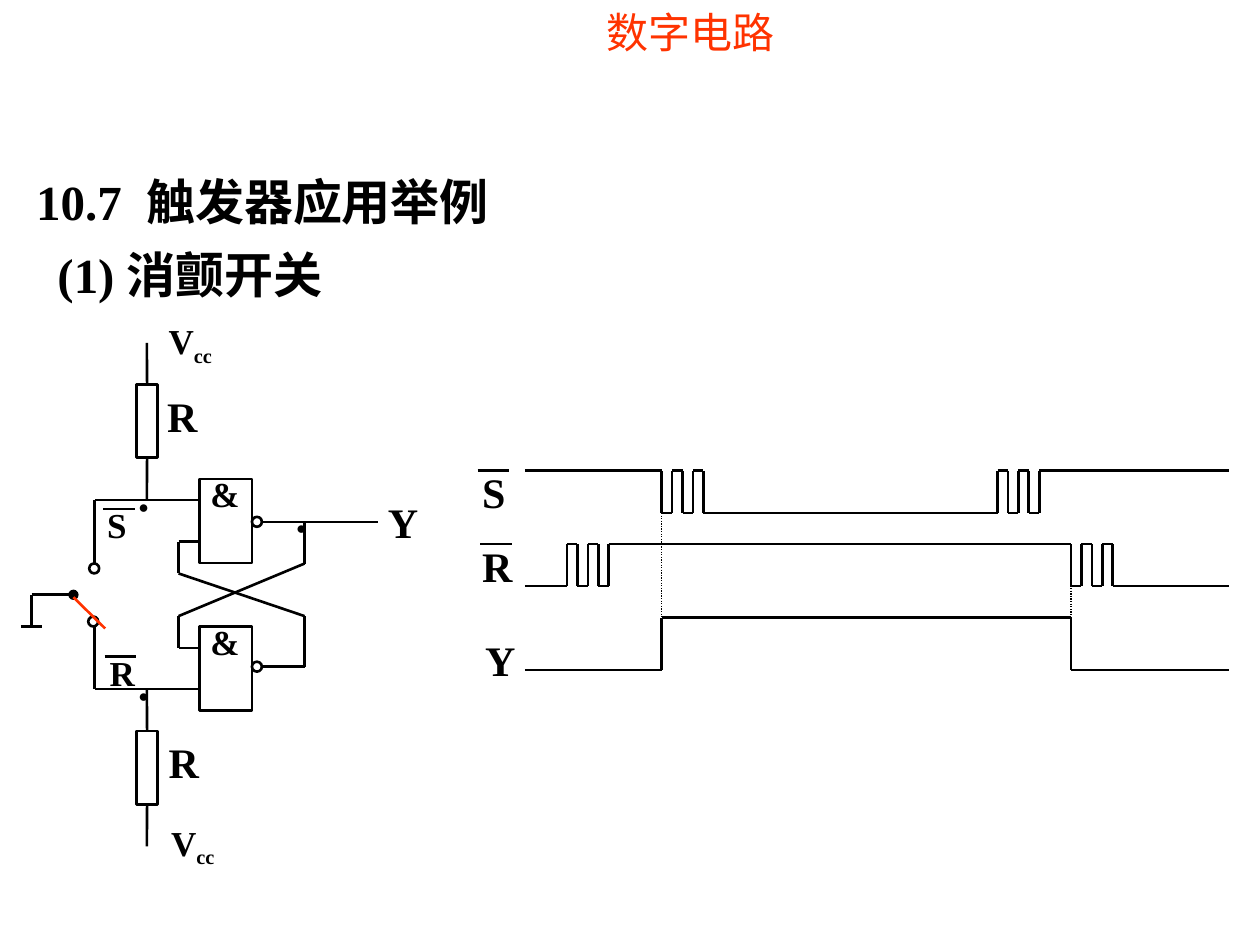
from itertools import pairwise

from lxml import etree
from pptx import Presentation
from pptx.dml.color import RGBColor
from pptx.enum.dml import MSO_LINE
from pptx.enum.shapes import MSO_CONNECTOR, MSO_SHAPE
from pptx.enum.text import PP_ALIGN
from pptx.oxml.ns import qn
from pptx.util import Cm, Pt

BLACK = RGBColor(0x00, 0x00, 0x00)
RED = RGBColor(0xFF, 0x33, 0x00)
STRAIGHT = MSO_CONNECTOR.STRAIGHT
RECTANGLE = MSO_SHAPE.RECTANGLE
OVAL = MSO_SHAPE.OVAL
DOTTED = MSO_LINE.ROUND_DOT
CENTER = PP_ALIGN.CENTER
LATIN = "Times New Roman"
CHINESE = "Noto Sans CJK SC"
TOP, BOTTOM = 0, 2

prs = Presentation()
prs.slide_width, prs.slide_height = Cm(25.4), Cm(19.05)
slide = prs.slides.add_slide(prs.slide_layouts[6])


def add_line(start, end, color=BLACK, width=1.5):
    line = slide.shapes.add_connector(STRAIGHT, *[Cm(v) for v in (*start, *end)])
    line.line.color.rgb = color
    line.line.width = Pt(width)
    etree.SubElement(line._element.spPr, qn("a:effectLst"))
    return line


def add_text(box, runs, font=LATIN, color=BLACK, bold=True, wrap=False):
    """Add a one-line text box; runs are (text, size, baseline in percent)."""
    frame = slide.shapes.add_textbox(*[Cm(v) for v in box]).text_frame
    frame.word_wrap = wrap
    paragraph = frame.paragraphs[0]
    for text, size, baseline in runs:
        run = paragraph.add_run()
        run.text = text
        run.font.size = Pt(size)
        run.font.bold = bold
        run.font.color.rgb = color
        run.font.name = font
        properties = run._r.get_or_add_rPr()
        if any("一" <= letter <= "龥" for letter in text):
            etree.SubElement(properties, qn("a:ea"), typeface=CHINESE)
        if baseline:
            properties.set("baseline", str(baseline * 1000))
    return paragraph


# Headings
title = add_text((10.31, 0, 7.21, 1.52), [("数字电路", 24, 0)], CHINESE, RED, False)
title.alignment = CENTER
add_text((0.48, 3.33, 10, 1.45), [("10.7  触发器应用举例", 28, 0)])
add_text((0.91, 4.8, 6.4, 1.45), [("(1) 消颤开关", 28, 0)])

# Timing diagram: every edge toggles the level, a bounce is five quick edges
WAVE_LEFT, WAVE_RIGHT = 10.58, 24.77
SET_X, RESET_X = 13.34, 21.59
bounce = [0.21 * i for i in range(5)]
waves = [  # first level, other level, edges
    (9.49, 10.34, [x + b for x in (SET_X, 20.11) for b in bounce]),
    (11.81, 10.97, [x + b for x in (11.43, RESET_X) for b in bounce]),
    (13.51, 12.45, [SET_X, RESET_X]),
]
for level, other, edges in waves:
    points = [(WAVE_LEFT, level)]
    for x in edges:
        points += [(x, level), (x, other)]
        level, other = other, level
    points.append((WAVE_RIGHT, level))
    for start, end in pairwise(points):
        add_line(start, end)

for x, top, bottom in [(SET_X, 10.34, 13.51), (RESET_X, 11.18, 12.45)]:
    guide = add_line((x, top), (x, bottom), width=0.75)
    guide.line.dash_style = DOTTED

# Gates with their inverting outputs
outlines = []
for gate_top, bubble_top in [(9.66, 10.42), (12.63, 13.34)]:
    outlines += [(RECTANGLE, 4.02, gate_top, 1.06, 1.69),
                 (OVAL, 5.08, bubble_top, 0.2, 0.2)]
    add_text((3.99, gate_top - 0.25, 1.15, 1.12), [("&", 20, 0)])

# Switch contacts
outlines += [(OVAL, 1.8, 11.36, 0.2, 0.2), (OVAL, 1.78, 12.43, 0.2, 0.2)]

# Resistors
RESISTOR_TOPS = (7.75, 14.74)
outlines += [(RECTANGLE, 2.75, top, 0.43, 1.48) for top in RESISTOR_TOPS]

parts = []
for kind, *box in outlines:
    part = slide.shapes.add_shape(kind, *[Cm(v) for v in box])
    part.shadow.inherit = False
    part.fill.background()
    part.line.color.rgb = BLACK
    part.line.width = Pt(1.5)
    parts.append(part)

LEAD, LEAD_X = 0.84, 2.96
for resistor, top in zip(parts[-2:], RESISTOR_TOPS):
    bottom = top + 1.48
    add_line((LEAD_X, top - LEAD), (LEAD_X, top)).end_connect(resistor, TOP)
    add_line((LEAD_X, bottom), (LEAD_X, bottom + LEAD)).begin_connect(resistor, BOTTOM)

wires = [
    [(5.29, 10.52), (7.62, 10.52)],
    [(6.14, 10.52), (6.14, 11.36), (3.6, 12.42), (3.6, 13.06), (4.02, 13.06)],
    [(5.29, 13.44), (6.14, 13.44), (6.14, 12.42), (3.6, 11.56), (3.6, 10.92),
     (4.02, 10.92)],
    [(4.02, 10.08), (1.91, 10.08), (1.91, 11.36)],
    [(1.91, 12.63), (1.91, 13.89), (4.02, 13.89)],
    [(0.64, 11.99), (0.64, 12.63)],
    [(0.42, 12.63), (0.84, 12.63)],
]
for wire in wires:
    for start, end in pairwise(wire):
        add_line(start, end)

pivot = add_line((0.64, 11.99), (1.48, 11.99))
etree.SubElement(pivot.line._get_or_add_ln(), qn("a:tailEnd"), type="oval")
add_line((1.48, 12.04), (2.12, 12.67), RED)

# Signal names, with bars over the active-low ones
labels = [
    ("S", 24, 9.47, 9.27, 1.05), ("R", 24, 9.47, 10.77, 1.2),
    ("Y", 24, 9.53, 12.67, 1.2), ("Y", 24, 7.57, 9.88, 1.2),
    ("R", 24, 3.12, 7.75, 1.2), ("R", 24, 3.15, 14.73, 1.2),
    ("R", 20, 1.96, 13, 1.1), ("S", 20, 1.91, 10.03, 0.95),
]
for name, size, x, y, width in labels:
    add_text((x, y, width, 1.27 if size == 24 else 1.12), [(name, size, 0)])

for x, y in [(3.15, 6.32), (3.2, 16.43)]:
    add_text((x, y, 1.6, 1.22), [("V", 20, 0), ("cc", 20, -25)])

for x, y in [(9.63, 9.49), (9.68, 10.97), (2.11, 13.23), (2.08, 10.26)]:
    add_line((x, y), (x + 0.64, y))

# Junction dots
for x, y in [(2.54, 9.73), (2.54, 13.54), (5.72, 10.16)]:
    add_text((x, y, 0.84, 0.86), [("●", 10, 0), (" ", 14, 0)], bold=False, wrap=True)

prs.save("out.pptx")
